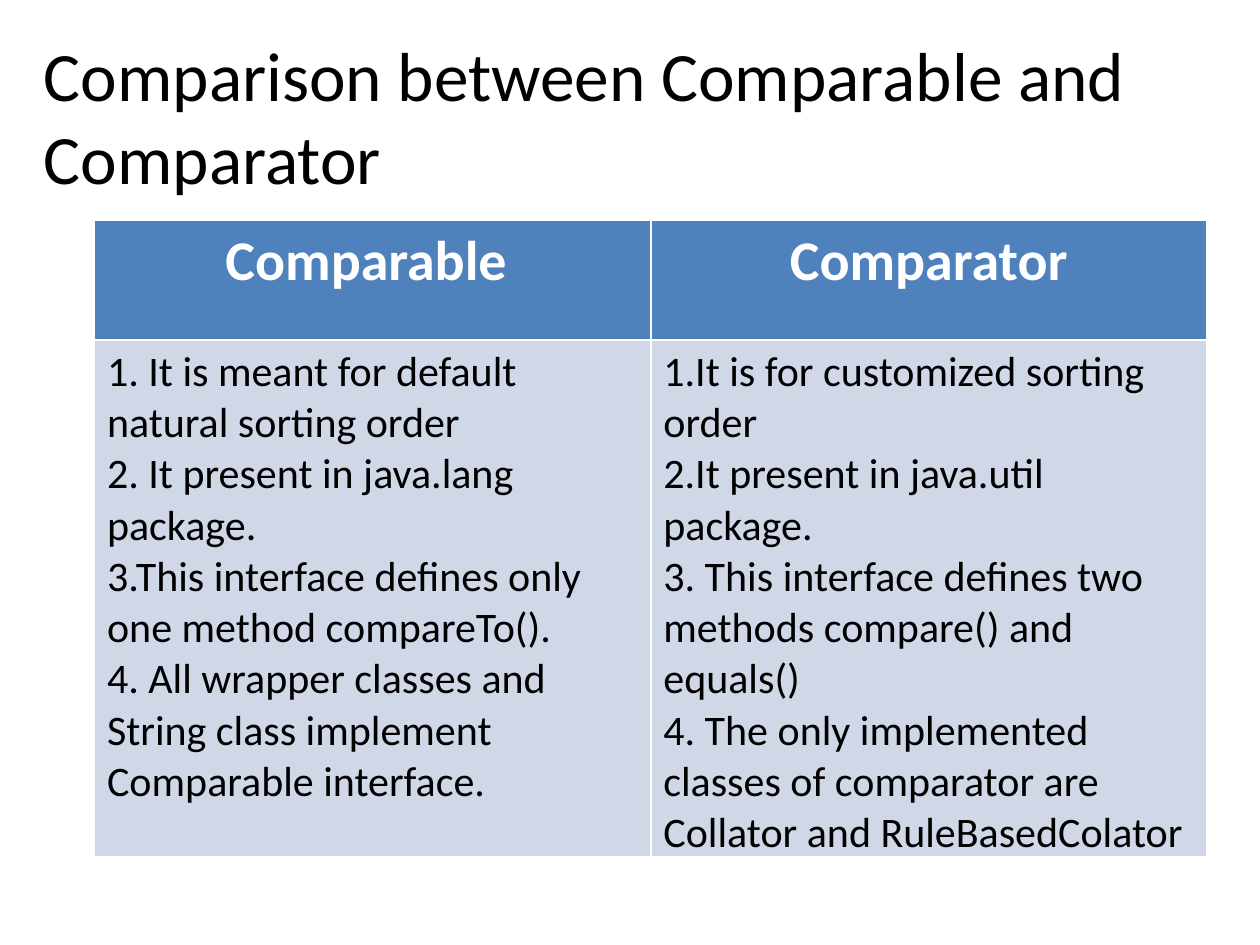
import pptx
import pptx.dml.color
import pptx.enum.text
import pptx.util
from dataclasses import dataclass

Inches = pptx.util.Inches
Align = pptx.enum.text.PP_ALIGN
Anchor = pptx.enum.text.MSO_ANCHOR

TITLE = "Comparison between Comparable and Comparator"
COLUMNS = {
    "Comparable ": [
        "1. It is meant for default natural sorting order",
        "2. It present in java.lang package.",
        "3.This interface defines only one method compareTo().",
        "4. All wrapper classes and String class implement Comparable interface.",
    ],
    "Comparator": [
        "1.It is for customized sorting order",
        "2.It present in java.util package.",
        "3. This interface defines two methods compare() and equals()",
        "4. The only implemented classes of comparator are Collator and RuleBasedColator",
    ],
}
TITLE_BOX = (0.25, 0.29, 9.75, 1.25)
TABLE_BOX = (0.75, 1.75, 8.83, 5.05)
HEADER_HEIGHT = 0.95


@dataclass(frozen=True)
class Theme:
    font: str = "Calibri"
    title_size: float = 39.6
    header_size: float = 32
    body_size: float = 24
    dark_text: str = "000000"
    light_text: str = "FFFFFF"
    header_fill: str = "4F81BD"
    body_fill: str = "D0D8E8"


THEME = Theme()


def rgb(value):
    return pptx.dml.color.RGBColor.from_string(value)


def write_paragraphs(text_frame, lines, size, color, bold=False, alignment=Align.LEFT):
    for index, line in enumerate(lines):
        paragraph = text_frame.add_paragraph() if index else text_frame.paragraphs[0]
        paragraph.alignment = alignment
        run = paragraph.add_run()
        run.text = line
        run.font.name = THEME.font
        run.font.size = pptx.util.Pt(size)
        run.font.bold = bold
        run.font.color.rgb = rgb(color)


def fill_cell(cell, color):
    cell.fill.solid()
    cell.fill.fore_color.rgb = rgb(color)


def add_title(slide):
    text_frame = slide.shapes.add_textbox(*map(Inches, TITLE_BOX)).text_frame
    text_frame.word_wrap = True
    text_frame.vertical_anchor = Anchor.MIDDLE
    write_paragraphs(text_frame, [TITLE], THEME.title_size, THEME.dark_text)


def add_comparison_table(slide):
    """The default table style supplies the white rules between the cells."""
    table = slide.shapes.add_table(2, len(COLUMNS), *map(Inches, TABLE_BOX)).table
    table.rows[0].height = Inches(HEADER_HEIGHT)
    table.rows[1].height = Inches(TABLE_BOX[3] - HEADER_HEIGHT)
    for index, (heading, points) in enumerate(COLUMNS.items()):
        header, body = table.cell(0, index), table.cell(1, index)
        fill_cell(header, THEME.header_fill)
        write_paragraphs(header.text_frame, [heading], THEME.header_size,
                         THEME.light_text, True, Align.CENTER)
        fill_cell(body, THEME.body_fill)
        write_paragraphs(body.text_frame, points, THEME.body_size, THEME.dark_text)


def main():
    presentation = pptx.Presentation()
    presentation.slide_width = Inches(10)
    presentation.slide_height = Inches(7.5)
    slide = presentation.slides.add_slide(presentation.slide_layouts[6])
    add_title(slide)
    add_comparison_table(slide)
    presentation.save("out.pptx")


if __name__ == "__main__":
    main()
